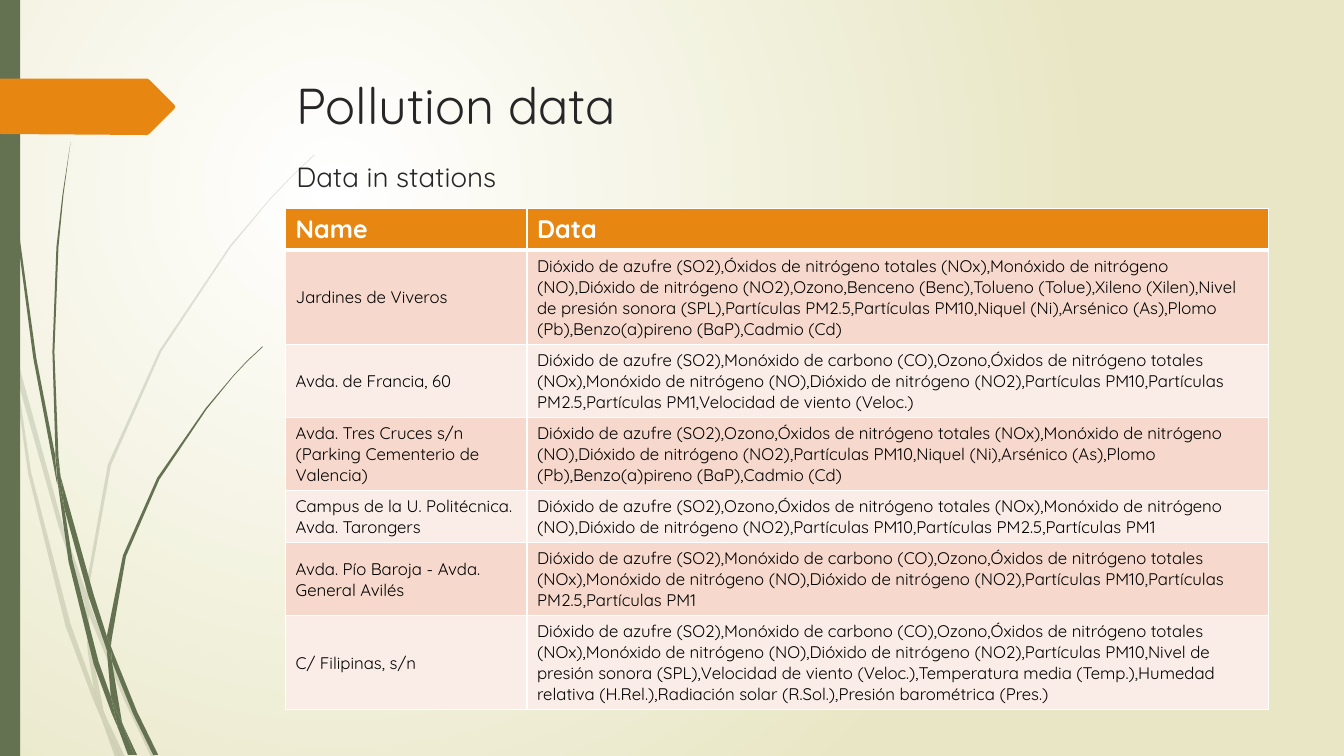
from dataclasses import dataclass
from lxml.etree import SubElement
from pptx import Presentation
from pptx.dml.color import RGBColor
from pptx.enum.shapes import MSO_SHAPE
from pptx.enum.text import MSO_ANCHOR, MSO_AUTO_SIZE, PP_ALIGN
from pptx.oxml.ns import qn
from pptx.util import Pt


@dataclass(frozen=True)
class Theme:
    font: str = "Quicksand"
    white: str = "FFFFFF"
    sand: str = "E8E6C4"
    green: str = "647252"
    orange: str = "E78712"
    ink: str = "262626"
    black: str = "000000"
    bands: tuple = ("F6D9CC", "FAEDE7")
    title: float = 36
    sub: float = 19.8
    head: float = 18
    body: float = 12


# Grass outlines: x, y pairs in hundredths of an inch
FAINT = [
    (11, 350, 9, 322, 0, 282, 0, 299, 10, 344),
    (58, 522, 84, 599, 85, 586, 62, 520, 14, 345, 17, 376),
    (92, 607, 88, 596, 88, 610, 123, 694, 150, 751, 155, 751, 127, 692),
    (119, 751, 124, 751, 105, 711),
    (93, 683, 70, 619, 31, 469, 17, 376, 11, 350, 28, 470, 65, 621, 92, 693,
     101, 714, 99, 707),
    (84, 599, 87, 646, 93, 683, 96, 692, 105, 711, 103, 706, 91, 646, 88, 610,
     88, 608),
    (88, 584, 110, 462, 160, 349, 229, 245, 268, 198, 290, 175, 312, 154,
     312, 153, 289, 175, 268, 197, 228, 244, 158, 348, 107, 461, 85, 584,
     85, 586, 88, 596),
    (101, 714, 114, 751, 119, 751),
    (88, 608, 88, 610, 88, 596, 85, 586, 84, 599),
    (96, 692, 93, 683, 99, 707, 101, 714, 119, 751, 105, 711),
]
DARK = [
    (7, 110, 17, 233, 33, 355, 56, 477, 57, 481, 55, 457, 55, 453, 36, 355,
     19, 232, 8, 109, 5, 48, 4, 0, 3, 0, 4, 48),
    (88, 592, 106, 645, 106, 633, 106, 631, 93, 590, 60, 472, 64, 505),
    (113, 649, 110, 641, 111, 656, 132, 708, 152, 749, 157, 749, 136, 706),
    (110, 691, 98, 657, 72, 556, 64, 505, 57, 477, 68, 557, 93, 659, 111, 708,
     117, 722, 116, 717),
    (60, 472, 58, 453, 54, 349, 58, 245, 63, 193, 70, 141, 62, 193, 56, 245,
     52, 349, 55, 449),
    (133, 749, 136, 749, 122, 719),
    (57, 477, 64, 505, 60, 472, 55, 449, 55, 453),
    (111, 633, 125, 552, 158, 476, 205, 406, 231, 374, 245, 359, 261, 344,
     260, 344, 245, 358, 231, 373, 204, 405, 156, 474, 122, 551, 106, 631,
     110, 641),
    (117, 722, 127, 749, 131, 749),
    (106, 645, 110, 691, 116, 706, 122, 719, 121, 716, 111, 656, 109, 651),
    (106, 645, 109, 651, 111, 656, 110, 641, 106, 631, 106, 633),
    (116, 706, 110, 691, 116, 717, 117, 722, 130, 749, 133, 749, 122, 719),
]
ARROW = (0, 78, 146, 78, 148, 79, 173, 104, 174, 106, 173, 108, 148, 133,
         146, 134, 0, 133)

# Name, data and number of text lines for each station
ROWS = [
    ("Jardines de Viveros", "Dióxido de azufre (SO2),Óxidos de nitrógeno totales (NOx),Monóxido de nitrógeno (NO),Dióxido de nitrógeno (NO2),Ozono,Benceno (Benc),Tolueno (Tolue),Xileno (Xilen),Nivel de presión sonora (SPL),Partículas PM2.5,Partículas PM10,Niquel (Ni),Arsénico (As),Plomo (Pb),Benzo(a)pireno (BaP),Cadmio (Cd)", 4),
    ("Avda. de Francia, 60", "Dióxido de azufre (SO2),Monóxido de carbono (CO),Ozono,Óxidos de nitrógeno totales (NOx),Monóxido de nitrógeno (NO),Dióxido de nitrógeno (NO2),Partículas PM10,Partículas PM2.5,Partículas PM1,Velocidad de viento (Veloc.)", 3),
    ("Avda. Tres Cruces s/n (Parking Cementerio de Valencia)", "Dióxido de azufre (SO2),Ozono,Óxidos de nitrógeno totales (NOx),Monóxido de nitrógeno (NO),Dióxido de nitrógeno (NO2),Partículas PM10,Niquel (Ni),Arsénico (As),Plomo (Pb),Benzo(a)pireno (BaP),Cadmio (Cd)", 3),
    ("Campus de la U. Politécnica. Avda. Tarongers", "Dióxido de azufre (SO2),Ozono,Óxidos de nitrógeno totales (NOx),Monóxido de nitrógeno (NO),Dióxido de nitrógeno (NO2),Partículas PM10,Partículas PM2.5,Partículas PM1", 2),
    ("Avda. Pío Baroja - Avda. General Avilés", "Dióxido de azufre (SO2),Monóxido de carbono (CO),Ozono,Óxidos de nitrógeno totales (NOx),Monóxido de nitrógeno (NO),Dióxido de nitrógeno (NO2),Partículas PM10,Partículas PM2.5,Partículas PM1", 3),
    ("C/ Filipinas, s/n", "Dióxido de azufre (SO2),Monóxido de carbono (CO),Ozono,Óxidos de nitrógeno totales (NOx),Monóxido de nitrógeno (NO),Dióxido de nitrógeno (NO2),Partículas PM10,Nivel de presión sonora (SPL),Velocidad de viento (Veloc.),Temperatura media (Temp.),Humedad relativa (H.Rel.),Radiación solar (R.Sol.),Presión barométrica (Pres.)", 4),
]


class Deck:
    def __init__(self, slide, theme):
        self.slide, self.theme = slide, theme

    def ground(self):
        fill = self.slide.background.fill
        fill.gradient()
        for stop, tint in zip(fill.gradient_stops, (self.theme.white, self.theme.sand)):
            stop.color.rgb = RGBColor.from_string(tint)
        grad = self.slide.element.find(".//" + qn("a:gradFill"))
        grad.remove(grad.find(qn("a:lin")))
        round_ = SubElement(grad, qn("a:path"), path="circle")
        SubElement(round_, qn("a:fillToRect"), l="50000", t="50000", r="100000", b="100000")

    def paint(self, shape, tint, alpha=100):
        shape.shadow.inherit = False
        shape.fill.solid()
        shape.fill.fore_color.rgb = RGBColor.from_string(tint)
        if alpha < 100:
            color = shape.element.find(".//" + qn("a:srgbClr"))
            SubElement(color, qn("a:alpha"), val=str(alpha * 1000))
        shape.line.fill.background()

    def bar(self, left, top, width, height, tint):
        box = map(Pt, (left, top, width, height))
        self.paint(self.slide.shapes.add_shape(MSO_SHAPE.RECTANGLE, *box), tint)

    def outline(self, shapes, flat, tint, alpha=100):
        dots = list(zip(flat[::2], flat[1::2]))
        pen = shapes.build_freeform(*dots[0], scale=Pt(0.72))
        pen.add_line_segments(dots[1:], close=True)
        self.paint(pen.convert_to_shape(), tint, alpha)

    def grass(self, blades, alpha=100):
        group = self.slide.shapes.add_group_shape()
        for blade in blades:
            self.outline(group.shapes, blade, self.theme.green, alpha)

    def run(self, para, text, size, tint, bold=False):
        font_run = para.add_run()
        font_run.text = text
        font = font_run.font
        font.name, font.size, font.bold = self.theme.font, Pt(size), bold
        font.color.rgb = RGBColor.from_string(tint)

    def title(self, head, sub):
        box = self.slide.shapes.title
        box.element.getparent().append(box.element)
        box.left, box.top, box.width, box.height = map(Pt, (204.5, 49, 702, 88.5))
        frame = box.text_frame
        frame.word_wrap, frame.auto_size = True, MSO_AUTO_SIZE.NONE
        frame.vertical_anchor = MSO_ANCHOR.TOP
        first, second = frame.paragraphs[0], frame.add_paragraph()
        first.alignment = second.alignment = PP_ALIGN.LEFT
        second.space_before = Pt(18)
        self.run(first, head, self.theme.title, self.theme.ink)
        self.run(second, sub, self.theme.sub, self.theme.ink)

    def edge(self, cell, row):
        props = cell._tc.get_or_add_tcPr()
        thick = {0: "lnB", 1: "lnT"}.get(row)
        for side in ("lnL", "lnR", "lnT", "lnB"):
            line = SubElement(props, qn("a:" + side), w=str(Pt(3 if side == thick else 1)))
            fill = SubElement(line, qn("a:solidFill"))
            SubElement(fill, qn("a:srgbClr"), val=self.theme.white)

    def cell(self, cell, row, text):
        look, head = self.theme, row == 0
        self.edge(cell, row)
        cell.fill.solid()
        back = look.orange if head else look.bands[(row - 1) % 2]
        cell.fill.fore_color.rgb = RGBColor.from_string(back)
        cell.vertical_anchor = MSO_ANCHOR.MIDDLE
        self.run(cell.text_frame.paragraphs[0], text, look.head if head else look.body,
                 look.white if head else look.black, head)

    def table(self, heads, rows):
        tall = [29.7] + [15 * lines + 7.2 for *_, lines in rows]
        box = map(Pt, (204, 149, 702, sum(tall)))
        grid = self.slide.shapes.add_table(len(tall), len(heads), *box).table
        for col, width in zip(grid.columns, (172.5, 529.5)):
            col.width = Pt(width)
        texts = [heads] + [row[:2] for row in rows]
        for i, (height, pair) in enumerate(zip(tall, texts)):
            grid.rows[i].height = Pt(height)
            for j, text in enumerate(pair):
                self.cell(grid.cell(i, j), i, text)


def main():
    show = Presentation()
    show.slide_width, show.slide_height = Pt(960), Pt(540)
    theme = Theme()
    deck = Deck(show.slides.add_slide(show.slide_layouts[5]), theme)
    # Backdrop
    deck.ground()
    deck.grass(FAINT, 20)
    deck.grass(DARK)
    deck.bar(0, 0, 14.4, 540, theme.green)
    deck.outline(deck.slide.shapes, ARROW, theme.orange)
    # Content
    deck.title("Pollution data", "Data in stations")
    deck.table(("Name", "Data"), ROWS)
    show.save("out.pptx")


if __name__ == "__main__":
    main()
